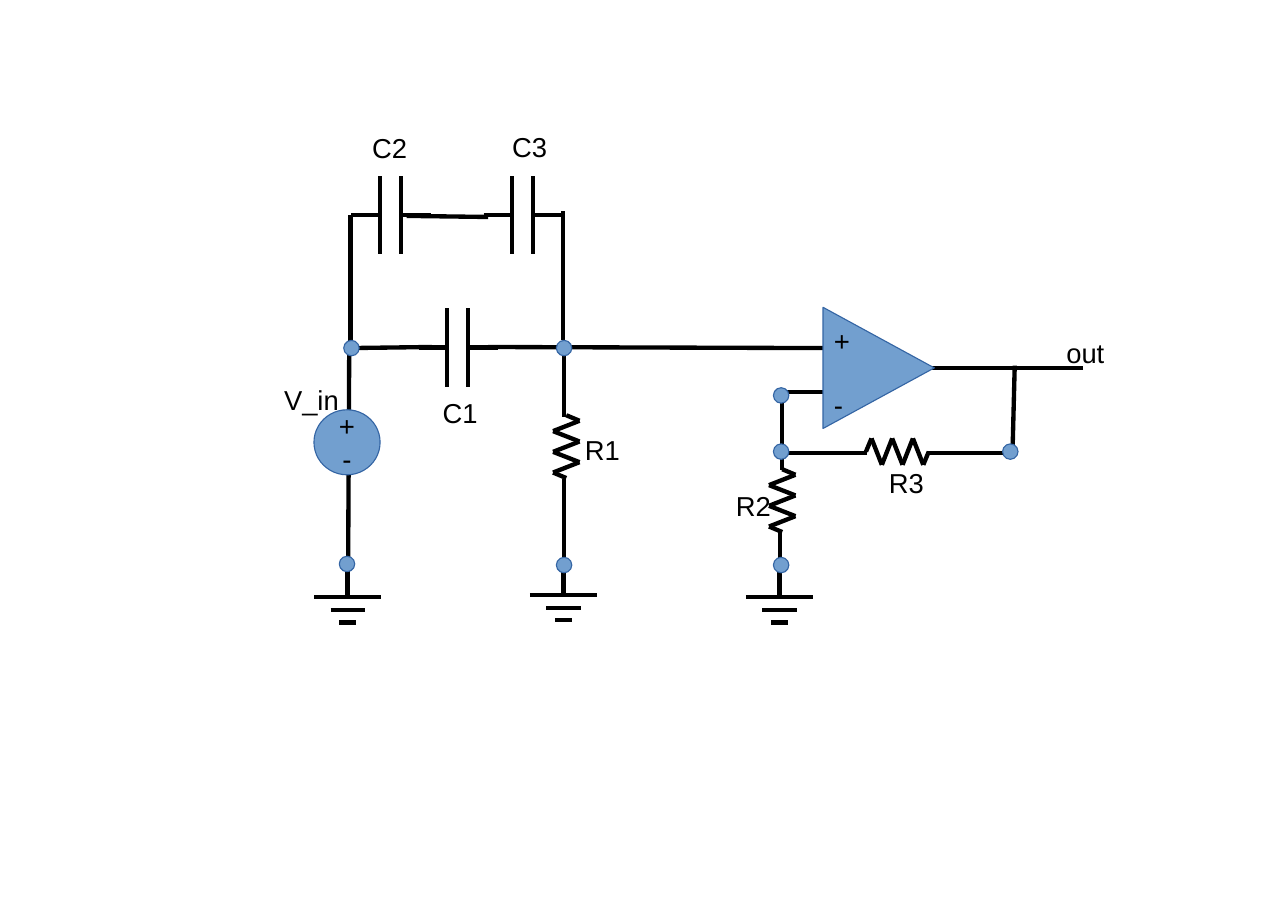
from dataclasses import dataclass
from itertools import pairwise

from lxml import etree
from pptx import Presentation
from pptx.dml.color import RGBColor
from pptx.enum.shapes import MSO_CONNECTOR, MSO_SHAPE
from pptx.enum.text import MSO_ANCHOR, MSO_AUTO_SIZE, PP_ALIGN
from pptx.oxml.ns import qn
from pptx.util import Inches, Pt

STRAIGHT = MSO_CONNECTOR.STRAIGHT
OVAL, TRIANGLE = MSO_SHAPE.OVAL, MSO_SHAPE.ISOSCELES_TRIANGLE
MIDDLE, CENTER, LEFT = MSO_ANCHOR.MIDDLE, PP_ALIGN.CENTER, PP_ALIGN.LEFT
GROW = MSO_AUTO_SIZE.SHAPE_TO_FIT_TEXT


@dataclass(frozen=True)
class Theme:
    ink: RGBColor = RGBColor(0x00, 0x00, 0x00)
    fill: RGBColor = RGBColor(0x72, 0x9F, 0xCF)
    outline: RGBColor = RGBColor(0x34, 0x65, 0xA4)
    font: str = "Arial"
    label_size: float = 17.9
    sign_size: float = 18
    wire_width: float = 2.83


THEME = Theme()

WIRES = [
    ((3.16, 5.12), (3.17, 3.16)),
    ((3.92, 3.15), (3.17, 3.16)),
    ((7.47, 3.16), (4.43, 3.15)),
    ((3.18, 3.14), (3.18, 1.95)),
    ((4.43, 1.97), (3.69, 1.96)),
    ((5.11, 1.92), (5.11, 3.09)),
    ((5.12, 3.16), (5.12, 3.79)),
    ((5.12, 4.35), (5.12, 5.13)),
    ((7.08, 4.83), (7.08, 5.25)),
    ((7.1, 3.56), (7.1, 4.27)),
    ((7.1, 3.56), (7.47, 3.56)),
    ((9.83, 3.34), (8.45, 3.34)),
    ((7.87, 4.11), (7.1, 4.11)),
    ((9.19, 4.11), (8.42, 4.11)),
    ((9.19, 4.11), (9.21, 3.32)),
]
CAPACITORS = [(3.8, 2.8), (3.19, 1.6), (4.39, 1.6)]
GROUNDS = [(2.85, 5.14), (4.81, 5.12), (6.77, 5.14)]
NODES = [(3.08, 5.05), (3.12, 3.09), (5.05, 3.09), (5.05, 5.06),
         (7.02, 5.06), (9.1, 4.03), (7.02, 3.52), (7.02, 4.03)]
LABELS = [
    ("V_in", 2.48, 3.43, 0.79),
    ("C1", 3.92, 3.55, 1),
    ("C2", 3.28, 1.14, 1),
    ("C3", 4.55, 1.13, 1),
    ("R1", 5.21, 3.88, 1),
    ("R2", 6.58, 4.39, 1),
    ("R3", 7.97, 4.18, 1),
    ("out", 9.58, 3, 0.79),
]


def add_wire(shapes, start, end):
    ends = [Inches(value) for value in (*start, *end)]
    wire = shapes.add_connector(STRAIGHT, *ends)
    wire.line.color.rgb = THEME.ink
    wire.line.width = Pt(THEME.wire_width)
    etree.SubElement(wire._element.spPr, qn("a:effectLst"))


def add_blue_shape(shapes, kind, left, top, width, height):
    shape = shapes.add_shape(kind, Inches(left), Inches(top),
                             Inches(width), Inches(height))
    shape.shadow.inherit = False
    shape.fill.solid()
    shape.fill.fore_color.rgb = THEME.fill
    shape.line.color.rgb = THEME.outline
    shape.line.width = Pt(0)
    return shape


def write_lines(frame, lines, size, alignment, gap=0):
    for index, line in enumerate(lines):
        para = frame.add_paragraph() if index else frame.paragraphs[0]
        para.alignment = alignment
        if index:
            para.space_before = Pt(gap)
        span = para.add_run()
        span.text = line
        span.font.name = THEME.font
        span.font.size = Pt(size)
        span.font.color.rgb = THEME.ink


def add_label(shapes, text, left, top, width):
    box = shapes.add_textbox(Inches(left), Inches(top), Inches(width), Inches(0.57))
    box.text_frame.word_wrap = True
    box.text_frame.auto_size = GROW
    write_lines(box.text_frame, [text], THEME.label_size, LEFT)


def add_capacitor(page, left, top, width=0.72, height=0.71):
    """Two plates with a lead on each side, grouped."""
    shapes = page.shapes.add_group_shape().shapes
    middle = top + height / 2
    first, second = left + 0.26, left + width - 0.27
    for plate in (first, second):
        add_wire(shapes, (plate, top), (plate, top + height))
    add_wire(shapes, (left, middle), (first, middle))
    add_wire(shapes, (second, middle), (left + width, middle))


def add_resistor(page, left, top, horizontal=False, length=0.57, breadth=0.24):
    """A zigzag of six peaks with half strokes at both ends, grouped."""
    shapes = page.shapes.add_group_shape().shapes
    step = (length - 0.1) / 5
    along = [0, *(0.05 + step * peak for peak in range(6)), length]
    across = [breadth / 2, *[breadth, 0] * 3, breadth / 2]
    if horizontal:
        points = [(left + x, top + breadth - y) for x, y in zip(along, across)]
    else:
        points = [(left + x, top + y) for x, y in zip(across, along)]
    for start, end in pairwise(points):
        add_wire(shapes, start, end)


def add_ground(page, left, top, width=0.61):
    """A stem above three shrinking bars, grouped."""
    shapes = page.shapes.add_group_shape().shapes
    center = left + width / 2
    add_wire(shapes, (center, top), (center, top + 0.27))
    for drop, bar in ((0.28, width), (0.4, 0.31), (0.51, 0.15)):
        add_wire(shapes, (center - bar / 2, top + drop),
                 (center + bar / 2, top + drop))


def add_source(page, left, top, width=0.6, height=0.59):
    source = add_blue_shape(page.shapes, OVAL, left, top, width, height)
    frame = source.text_frame
    frame.word_wrap = False
    frame.vertical_anchor = MIDDLE
    write_lines(frame, ["+", "-"], THEME.sign_size, CENTER)


def add_amplifier(page, left, top, width=1.01, height=1.1):
    """A triangle turned to point right, with its input signs, grouped."""
    shapes = page.shapes.add_group_shape().shapes
    shift = (height - width) / 2
    triangle = add_blue_shape(shapes, TRIANGLE, left - shift, top + shift,
                              height, width)
    triangle.rotation = 90
    signs = shapes.add_textbox(Inches(left), Inches(top + 0.1),
                               Inches(0.34), Inches(0.94))
    signs.text_frame.word_wrap = False
    signs.text_frame.auto_size = GROW
    write_lines(signs.text_frame, ["+", "-"], THEME.sign_size, LEFT, gap=20.7)


def add_circuit(page):
    for start, end in WIRES:
        add_wire(page.shapes, start, end)
    for left, top in CAPACITORS:
        add_capacitor(page, left, top)
    for left, top in GROUNDS:
        add_ground(page, left, top)
    add_resistor(page, 5.02, 3.77)
    add_resistor(page, 6.98, 4.26)
    add_resistor(page, 7.86, 3.98, horizontal=True)
    add_source(page, 2.85, 3.72)
    add_amplifier(page, 7.47, 2.79)
    for left, top in NODES:
        add_blue_shape(page.shapes, OVAL, left, top, 0.14, 0.14)
    for text, left, top, width in LABELS:
        add_label(page.shapes, text, left, top, width)


def main():
    deck = Presentation()
    deck.slide_width, deck.slide_height = Inches(11.69), Inches(8.27)
    page = deck.slides.add_slide(deck.slide_layouts[6])
    add_circuit(page)
    deck.save("out.pptx")


if __name__ == "__main__":
    main()
